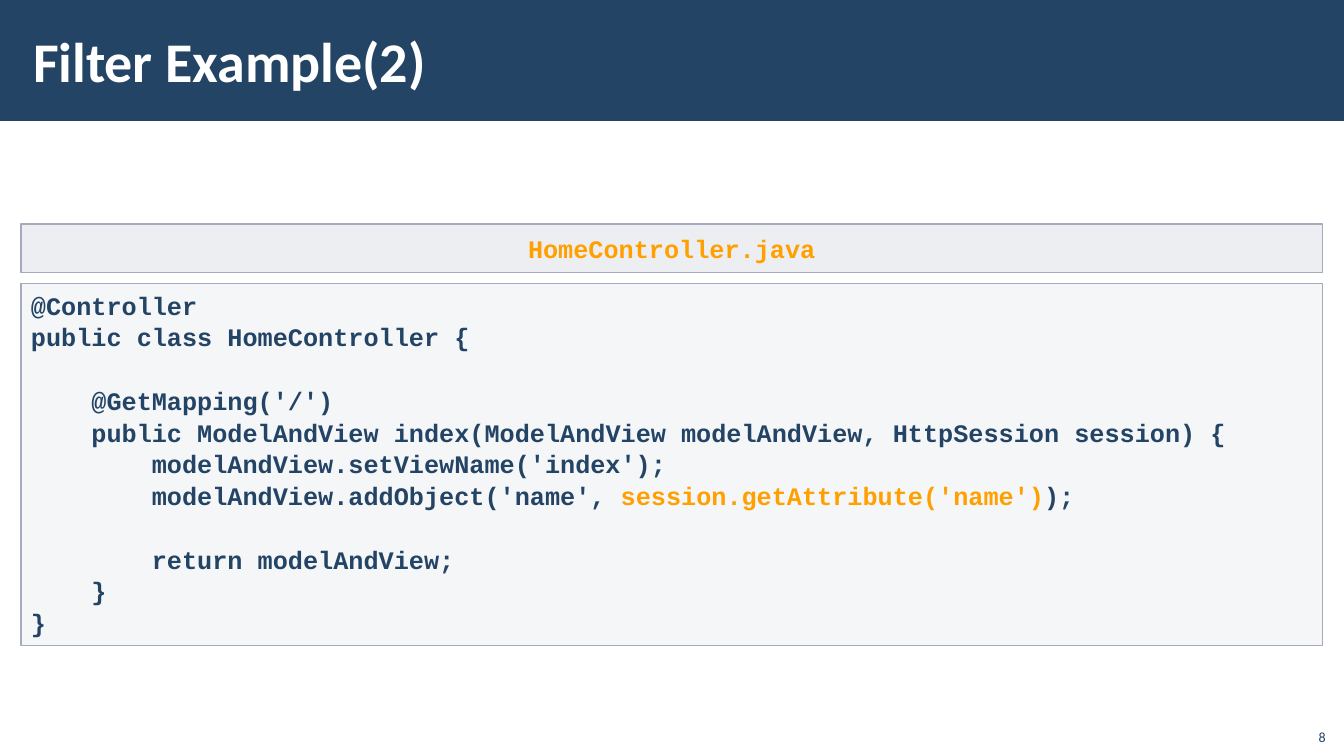
import lxml.etree
import pptx
import pptx.dml.color
import pptx.enum.shapes
import pptx.enum.text
import pptx.oxml.ns
import pptx.util

Pt = pptx.util.Pt
ALIGN = pptx.enum.text.PP_ALIGN
ANCHOR = pptx.enum.text.MSO_ANCHOR
COLOURS = {"navy": "234465", "white": "FFFFFF", "orange": "FFA000",
           "panel": "C2C7D2", "border": "A3ABBC"}
CODE_FONT = {"name": "Courier New", "size": Pt(18), "bold": True}
TITLE_FONT = {"name": "Calibri", "size": Pt(40), "bold": True}
NUMBER_FONT = {"name": "Calibri", "size": Pt(10), "bold": False}
INDENT = 43.2
LINE_HEIGHT = 22.7
CODE = [
    (0, 0, [("@Controller", "navy")]),
    (0, 0, [("public class HomeController {", "navy")]),
    (1, 1, [("@GetMapping('/')", "navy")]),
    (1, 0, [("public ModelAndView index(ModelAndView modelAndView, "
             "HttpSession session) {", "navy")]),
    (2, 0, [("modelAndView.setViewName('index');", "navy")]),
    (2, 0, [("modelAndView.addObject('name', ", "navy"),
            ("session.getAttribute('name')", "orange"), (");", "navy")]),
    (2, 1, [("return modelAndView;", "navy")]),
    (1, 0, [("}", "navy")]),
    (0, 0, [("}", "navy")]),
]


def rgb(colour):
    """Return the named colour of the palette."""
    return pptx.dml.color.RGBColor.from_string(COLOURS[colour])


def apply(target, formats):
    """Set every attribute in a dict of format values."""
    for attribute, setting in formats.items():
        setattr(target, attribute, setting)


def write(paragraph, text, font, colour):
    """Add one formatted run to a paragraph."""
    run = paragraph.add_run()
    run.text = text
    apply(run.font, font)
    run.font.color.rgb = rgb(colour)


def add_box(slide, box, colour, opacity=100, border=None):
    """Draw a rectangle with a fill of the given opacity in percent."""
    panel = slide.shapes.add_shape(
        pptx.enum.shapes.MSO_SHAPE.RECTANGLE, *map(Pt, box))
    panel.shadow.inherit = False
    panel.fill.solid()
    panel.fill.fore_color.rgb = rgb(colour)
    if opacity < 100:
        fill = panel._element.spPr.find(pptx.oxml.ns.qn("a:solidFill"))
        lxml.etree.SubElement(fill[0], pptx.oxml.ns.qn("a:alpha"),
                              val=str(opacity * 1000))
    if border:
        panel.line.color.rgb = rgb(border)
        panel.line.width = Pt(1)
    else:
        panel.line.fill.background()
    return panel


def add_header(slide, box, text):
    """Draw the title bar and place the title in it."""
    left, top, width, height = box
    bar = add_box(slide, box, "navy")
    slide.shapes._spTree.insert(2, bar._element)
    title = slide.shapes.title
    apply(title, {"left": Pt(left + 15), "top": Pt(top + 8),
                  "width": Pt(width - 195), "height": Pt(height - 16.4)})
    apply(title.text_frame, {
        "vertical_anchor": ANCHOR.MIDDLE, "word_wrap": True,
        "margin_left": Pt(8.6), "margin_right": Pt(8.6),
        "margin_top": Pt(2.9), "margin_bottom": Pt(2.9)})
    heading = title.text_frame.paragraphs[0]
    heading.alignment = ALIGN.LEFT
    write(heading, text, TITLE_FONT, "white")


def add_listing(slide, box, file_name, code):
    """Draw a file name strip with the code panel below it."""
    left, top, width, height = box
    strip_height, gap = 34.6, 7.9
    offset = strip_height + gap
    panel = add_box(slide, (left, top + offset, width, height - offset),
                    "panel", 15, "border")
    frame = panel.text_frame
    apply(frame, {"vertical_anchor": ANCHOR.TOP, "word_wrap": True})
    for number, (level, skipped, parts) in enumerate(code):
        line = frame.add_paragraph() if number else frame.paragraphs[0]
        apply(line, {"alignment": ALIGN.LEFT, "line_spacing": 1.05,
                     "space_before": Pt(skipped * LINE_HEIGHT)})
        line._p.get_or_add_pPr().set("marL", str(Pt(level * INDENT)))
        for text, colour in parts:
            write(line, text, CODE_FONT, colour)

    strip = add_box(slide, (left, top, width, strip_height),
                    "panel", 30, "border")
    apply(strip.text_frame, {
        "vertical_anchor": ANCHOR.TOP, "word_wrap": True,
        "margin_top": Pt(5.8), "margin_bottom": Pt(5.8)})
    caption = strip.text_frame.paragraphs[0]
    apply(caption, {"alignment": ALIGN.CENTER, "line_spacing": 1.05})
    write(caption, file_name, CODE_FONT, "orange")


def add_page_number(slide, box, number):
    """Place the page number at the lower right of its box."""
    page = slide.shapes.add_textbox(*map(Pt, box))
    apply(page.text_frame, {"vertical_anchor": ANCHOR.BOTTOM,
                            "word_wrap": True})
    digits = page.text_frame.paragraphs[0]
    digits.alignment = ALIGN.RIGHT
    write(digits, number, NUMBER_FONT, "navy")


def main():
    """Build the slide and save it."""
    deck = pptx.Presentation()
    apply(deck, {"slide_width": Pt(960), "slide_height": Pt(540)})
    slide = deck.slides.add_slide(deck.slide_layouts[5])
    add_header(slide, (0, 0, 960, 86.4), "Filter Example(2)")
    add_listing(slide, (15, 160, 929.5, 301), "HomeController.java", CODE)
    add_page_number(slide, (925.2, 512.6, 28.8, 23), "8")
    deck.save("out.pptx")


if __name__ == "__main__":
    main()
